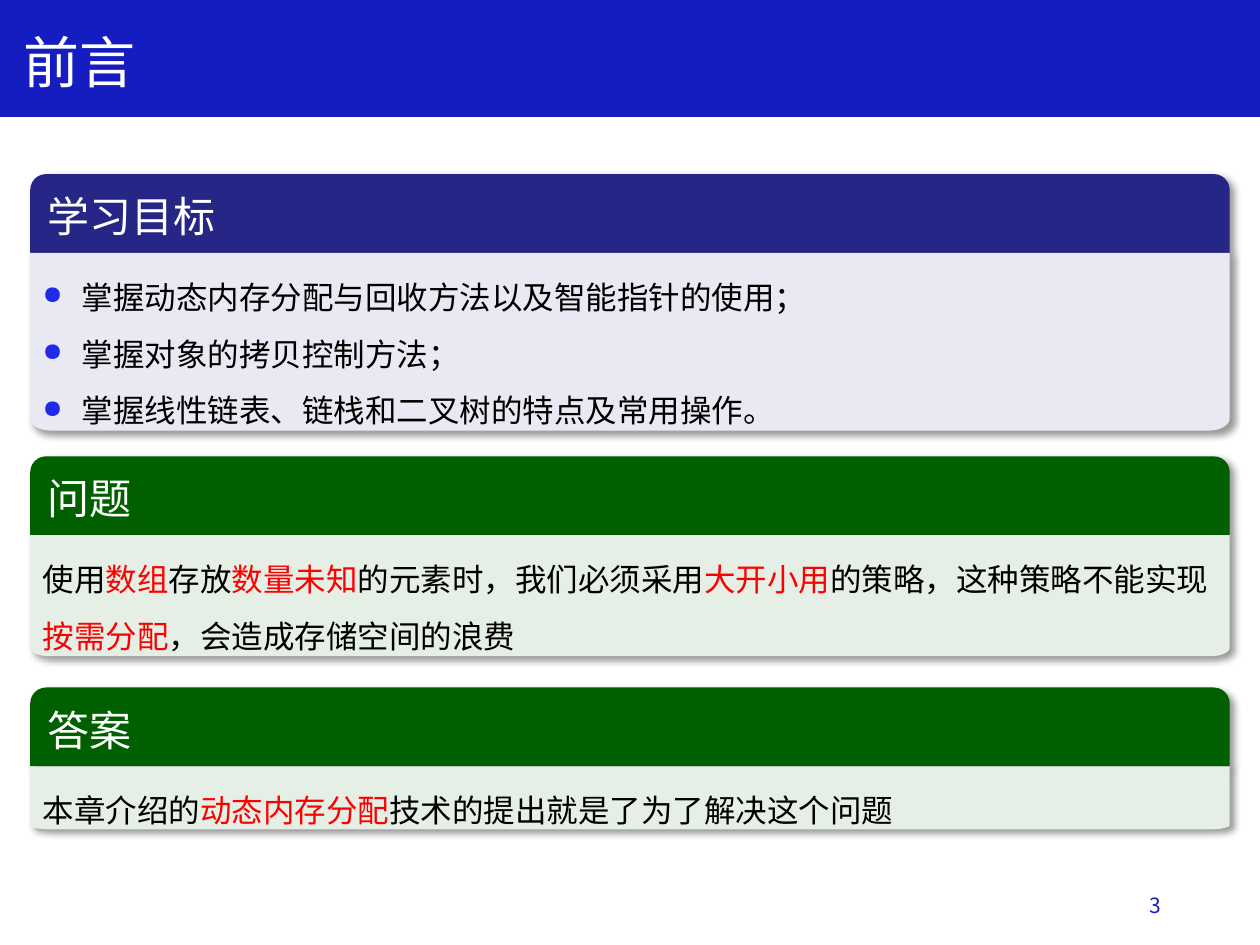
from math import cos, pi, sin

from pptx import Presentation
from pptx.dml.color import RGBColor
from pptx.enum.shapes import MSO_SHAPE
from pptx.enum.text import MSO_ANCHOR, PP_ALIGN
from pptx.oxml.ns import qn
from pptx.util import Cm, Pt
from lxml import etree

RECT = MSO_SHAPE.RECTANGLE
ROUND_TOP = MSO_SHAPE.ROUND_2_SAME_RECTANGLE
TOP, MIDDLE = MSO_ANCHOR.TOP, MSO_ANCHOR.MIDDLE
LEFT, RIGHT = PP_ALIGN.LEFT, PP_ALIGN.RIGHT

SANS, MONO = "Noto Sans CJK SC", "DejaVu Sans Mono"
WHITE, BLACK, RED = "FFFFFF", "000000", "FF0000"
BLUE, NAVY, GREEN = "151DC1", "262686", "006000"
PALE_BLUE, PALE_GREEN, BULLET = "E9E9F3", "E5EFE5", "212AE7"
BOX_LEFT, BOX_WIDTH, HEAD_HEIGHT = 0.61, 24.18, 1.59


def rgb(value):
    return RGBColor.from_string(value)


def add_xml(parent, tag, **attrs):
    return etree.SubElement(parent, qn(tag), attrs)


class Deck:
    def __init__(self, prs):
        self.s = prs.slides.add_slide(prs.slide_layouts[6])

    def paint(self, sp, fill, shadow=True):
        sp.fill.solid()
        sp.fill.fore_color.rgb = rgb(fill)
        sp.line.fill.background()
        sp.shadow.inherit = False
        if shadow:
            effects = sp._element.spPr.find(qn("a:effectLst"))
            outer = add_xml(effects, "a:outerShdw", blurRad=str(Pt(4)), dist=str(Pt(3)),
                            dir="2700000", algn="tl", rotWithShape="0")
            color = add_xml(outer, "a:srgbClr", val=BLACK)
            add_xml(color, "a:alpha", val="40000")

    def bullet(self, p):
        pPr = p._p.get_or_add_pPr()
        pPr.set("marL", str(Cm(0.79)))
        pPr.set("indent", str(Cm(-0.79)))
        add_xml(add_xml(pPr, "a:buClr"), "a:srgbClr", val=BULLET)
        add_xml(pPr, "a:buSzPct", val="80000")
        add_xml(pPr, "a:buChar", char="●")

    def set_text(self, sp, lines, size, color, font=SANS, anchor=TOP, align=LEFT,
                 spacing=None, bullets=False):
        tf = sp.text_frame
        tf.word_wrap = True
        tf.vertical_anchor = anchor
        for i, line in enumerate(lines):
            p = tf.add_paragraph() if i else tf.paragraphs[0]
            p.alignment = align
            if spacing:
                p.line_spacing = spacing
            if bullets:
                self.bullet(p)
            p.font.size = Pt(size)
            p.font.name = font
            p.font.color.rgb = rgb(color)
            add_xml(p.font._element, "a:ea", typeface=font)
            for j, part in enumerate(line.split("*")):
                if part:
                    r = p.add_run()
                    r.text = part
                    if j % 2:
                        r.font.color.rgb = rgb(RED)

    def banner(self, height):
        sp = self.s.shapes.add_shape(RECT, 0, 0, Cm(25.4), Cm(height))
        self.paint(sp, BLUE, shadow=False)
        sp.line.color.rgb = rgb(BLUE)
        sp.line.width = Pt(1)

    def label(self, x, y, w, h, text, size, color, **style):
        sp = self.s.shapes.add_textbox(Cm(x), Cm(y), Cm(w), Cm(h))
        self.set_text(sp, [text], size, color, **style)

    def header(self, y, title, fill):
        sp = self.s.shapes.add_shape(ROUND_TOP, Cm(BOX_LEFT), Cm(y), Cm(BOX_WIDTH), Cm(HEAD_HEIGHT))
        sp.adjustments[0] = 0.2
        self.paint(sp, fill)
        self.set_text(sp, [title], 24, WHITE, anchor=MIDDLE)

    def body(self, y, height, lines, fill, bullets):
        right, bottom = BOX_LEFT + BOX_WIDTH, y + height
        rx, ry = 0.4, 0.07 * height
        angles = [pi / 2 * i / 12 for i in range(13)]
        points = [(right, y)]
        points += [(right - rx + rx * cos(a), bottom - ry + ry * sin(a)) for a in angles]
        points += [(BOX_LEFT + rx - rx * sin(a), bottom - ry + ry * cos(a)) for a in angles]
        fb = self.s.shapes.build_freeform(Cm(BOX_LEFT), Cm(y))
        fb.add_line_segments([(Cm(px), Cm(py)) for px, py in points], close=True)
        sp = fb.convert_to_shape()
        self.paint(sp, fill)
        self.set_text(sp, lines, 18, BLACK, font=MONO, spacing=1.5, bullets=bullets)

    def block(self, y, height, title, lines, dark, pale, bullets=False):
        self.header(y, title, dark)
        self.body(y + HEAD_HEIGHT, height, lines, pale, bullets)


def main():
    prs = Presentation()
    prs.slide_width, prs.slide_height = Cm(25.4), Cm(19.05)
    deck = Deck(prs)
    deck.banner(2.34)
    deck.label(17.93, 17.73, 5.72, 1.02, "3", 12, BLUE, anchor=MIDDLE, align=RIGHT)
    deck.label(0.23, 0.43, 11.86, 1.63, "前言", 32, WHITE)
    deck.block(3.51, 3.58, "学习目标", [
        "掌握动态内存分配与回收方法以及智能指针的使用；",
        "掌握对象的拷贝控制方法；",
        "掌握线性链表、链栈和二叉树的特点及常用操作。",
    ], NAVY, PALE_BLUE, bullets=True)
    deck.block(9.2, 2.44, "问题", [
        "使用*数组*存放*数量未知*的元素时，我们必须采用*大开小用*的策略，"
        "这种策略不能实现*按需分配*，会造成存储空间的浪费",
    ], GREEN, PALE_GREEN)
    deck.block(13.86, 1.27, "答案", [
        "本章介绍的*动态内存分配*技术的提出就是了为了解决这个问题",
    ], GREEN, PALE_GREEN)
    prs.save("out.pptx")


if __name__ == "__main__":
    main()
